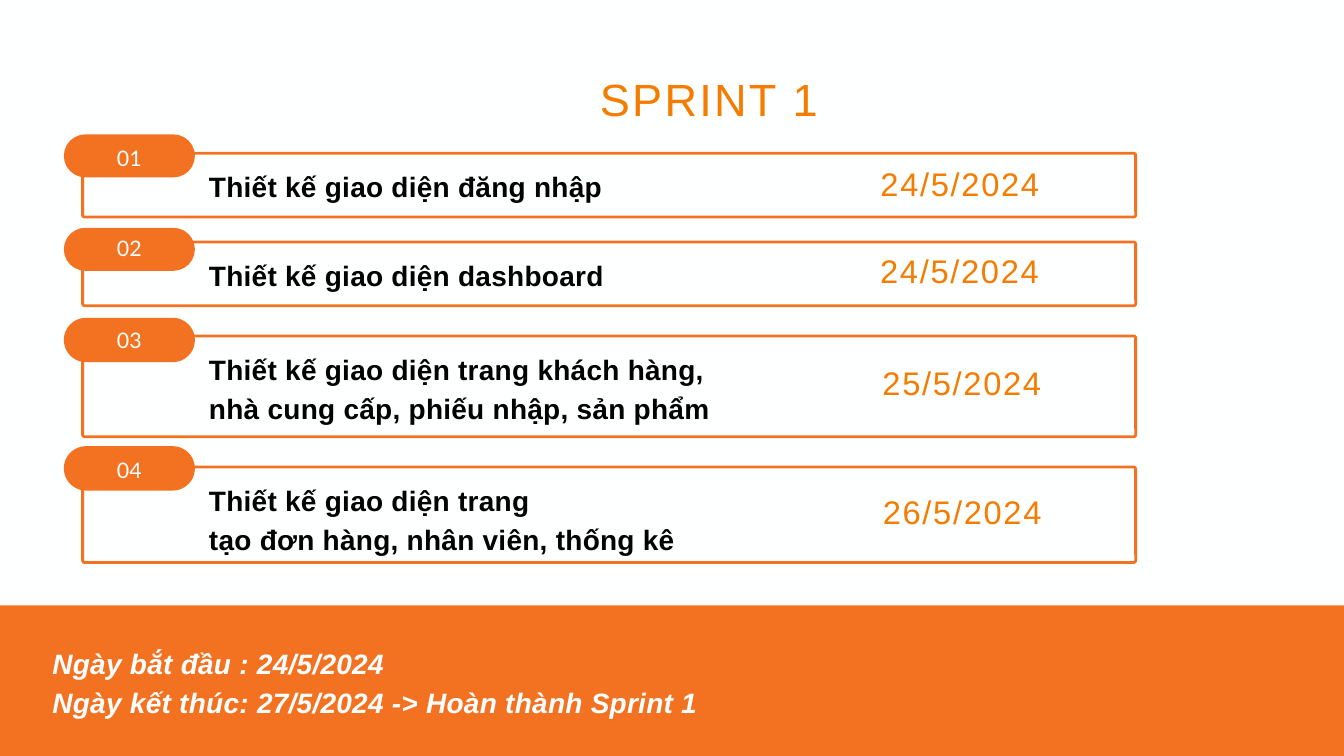
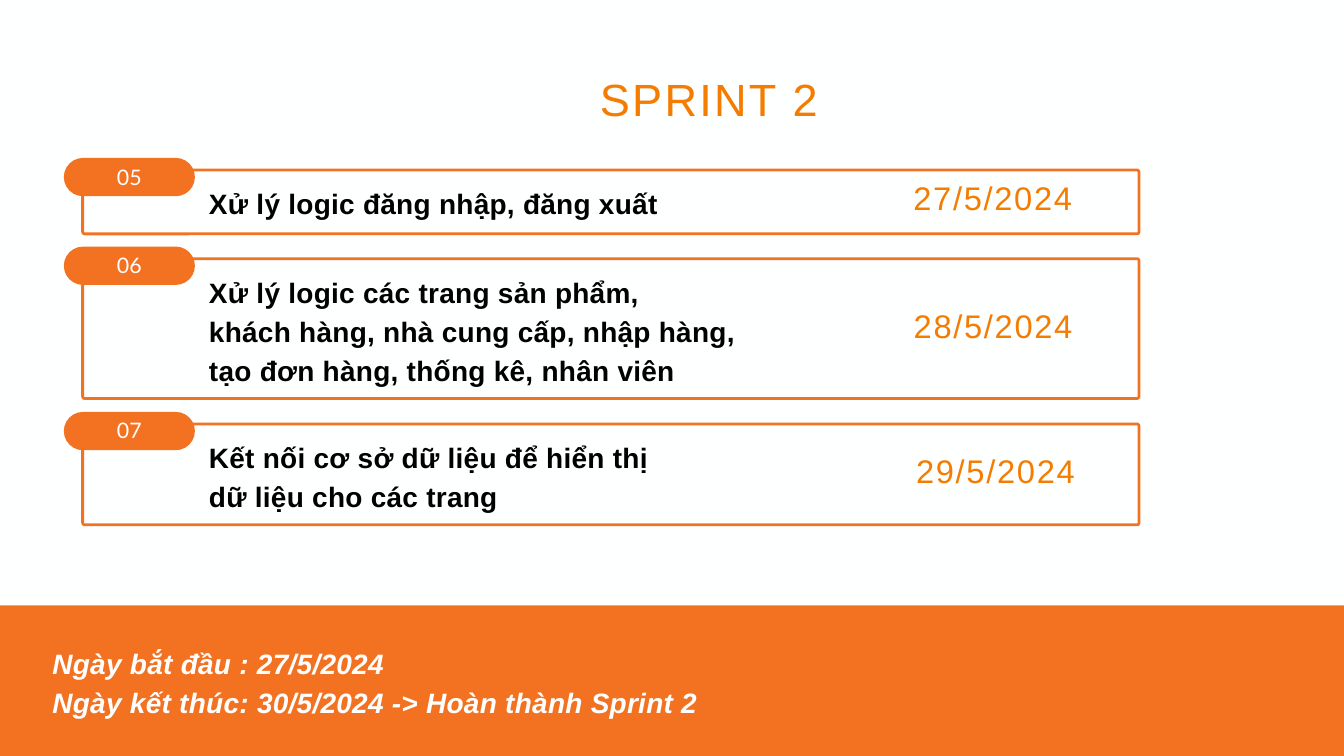
from dataclasses import dataclass

from pptx import Presentation
from pptx import util as u
from pptx.dml.color import RGBColor
from pptx.enum import shapes, text


@dataclass(frozen=True)
class Style:
    size: float
    leading: float
    spacing: int
    color: RGBColor
    font: str = "Arial"
    bold: bool = False
    italic: bool = False
    align: text.PP_ALIGN = text.PP_ALIGN.LEFT


class Theme:
    background = RGBColor(0xFE, 0xFF, 0xFF)
    orange = RGBColor(0xF3, 0x72, 0x21)
    amber = RGBColor(0xF4, 0x7C, 0x00)
    black = RGBColor(0, 0, 0)
    white = RGBColor(0xFF, 0xFF, 0xFF)
    outline = u.Pt(3)
    title = Style(48.3, 66.7, 240, amber, align=text.PP_ALIGN.CENTER)
    label = Style(22.9, 32.1, 20, white, font="Lato", align=text.PP_ALIGN.CENTER)
    task = Style(30, 42, 30, black, bold=True)
    date = Style(35, 48.3, 180, amber, align=text.PP_ALIGN.CENTER)
    footer = Style(30, 42, 30, white, bold=True, italic=True)


@dataclass(frozen=True)
class Box:
    left: float
    top: float
    width: float
    height: float

    def lengths(self) -> tuple:
        return tuple(u.Inches(v) for v in (self.left, self.top, self.width, self.height))


@dataclass(frozen=True)
class Span:
    top: float
    height: float


@dataclass(frozen=True)
class Task:
    number: str
    lines: tuple
    text_size: tuple
    date: str
    date_box: Box
    card: Span
    pill: Span
    label: Span


@dataclass(frozen=True)
class Sprint:
    title: str
    start: str
    end: str
    card_width: float
    tasks: tuple


CARD_LEFT, CARD_RADIUS = 1.23, 0.03
PILL_LEFT, PILL_WIDTH = 0.95, 1.95
TEXT_LEFT, TEXT_DROP = 3.11, 0.16
DATE_HEIGHT = 0.72
LABEL_INSET = 0.06
TITLE_BOX = Box(6.01, 0.94, 9.08, 0.98)
BAND_BOX = Box(0, 9.01, 20, 2.24)
FOOTER_BOX = Box(0.78, 9.54, 13.01, 1.18)

SPRINTS = (
    Sprint("SPRINT 1", "24/5/2024", "27/5/2024", 15.67, (
        Task("01", ("Thiết kế giao diện đăng nhập",), (6.46, 0.54),
             "24/5/2024", Box(12.91, 2.35, 2.75, DATE_HEIGHT),
             Span(2.28, 0.95), Span(2, 0.64), Span(1.87, 0.9)),
        Task("02", ("Thiết kế giao diện dashboard",), (6.46, 0.54),
             "24/5/2024", Box(12.79, 3.64, 2.98, DATE_HEIGHT),
             Span(3.6, 0.95), Span(3.39, 0.64), Span(3.27, 0.77)),
        Task("03", ("Thiết kế giao diện trang khách hàng, nhà cung cấp, phiếu nhập, sản phẩm",),
             (7.89, 1.15), "25/5/2024", Box(12.79, 5.31, 3.05, DATE_HEIGHT),
             Span(5, 1.5), Span(4.73, 0.66), Span(4.63, 0.8)),
        Task("04", ("Thiết kế giao diện trang", "tạo đơn hàng, nhân viên, thống kê"),
             (7.23, 1.18), "26/5/2024", Box(12.87, 7.23, 2.9, DATE_HEIGHT),
             Span(6.95, 1.42), Span(6.64, 0.66), Span(6.5, 0.92)),
    )),
    Sprint("SPRINT 2", "27/5/2024", "30/5/2024", 15.72, (
        Task("05", ("Xử lý logic đăng nhập, đăng xuất",), (7.29, 0.54),
             "27/5/2024", Box(13.4, 2.56, 2.75, DATE_HEIGHT),
             Span(2.53, 0.95), Span(2.35, 0.57), Span(2.2, 0.8)),
        Task("06", ("Xử lý logic các trang sản phẩm,",
                    "khách hàng, nhà cung cấp, nhập hàng, tạo đơn hàng, thống kê, nhân viên"),
             (8.15, 1.73), "28/5/2024", Box(13.29, 4.47, 2.98, DATE_HEIGHT),
             Span(3.85, 2.08), Span(3.67, 0.57), Span(3.51, 0.8)),
        Task("07", ("Kết nối cơ sở dữ liệu để hiển thị dữ liệu cho các trang",),
             (7.06, 1.18), "29/5/2024", Box(13.29, 6.62, 3.05, DATE_HEIGHT),
             Span(6.31, 1.5), Span(6.13, 0.57), Span(5.97, 0.8)),
    )),
)


def add_text(s, box: Box, lines: tuple, style: Style, inset: float = 0,
             anchor: text.MSO_ANCHOR = text.MSO_ANCHOR.TOP) -> None:
    tf = s.shapes.add_textbox(*box.lengths()).text_frame
    tf.word_wrap = True
    tf.vertical_anchor = anchor
    tf.margin_left = tf.margin_right = tf.margin_top = tf.margin_bottom = u.Inches(inset)
    tf.text = "\n".join(lines)
    for p in tf.paragraphs:
        p.alignment = style.align
        p.line_spacing = u.Pt(style.leading)
        for r in p.runs:
            r.font.name = style.font
            r.font.size = u.Pt(style.size)
            r.font.bold = style.bold
            r.font.italic = style.italic
            r.font.color.rgb = style.color
            r.font._element.set("spc", str(style.spacing))


def add_block(s, kind: shapes.MSO_SHAPE, box: Box, filled: bool = True, radius: float = 0) -> None:
    sp = s.shapes.add_shape(kind, *box.lengths())
    sp.shadow.inherit = False
    if radius:
        sp.adjustments[0] = radius / box.height
    if filled:
        sp.fill.solid()
        sp.fill.fore_color.rgb = Theme.orange
        sp.line.fill.background()
    else:
        sp.fill.background()
        sp.line.color.rgb = Theme.orange
        sp.line.width = Theme.outline


def add_task(s, task: Task, card_width: float) -> None:
    rounded = shapes.MSO_SHAPE.ROUNDED_RECTANGLE
    add_block(s, rounded, Box(CARD_LEFT, task.card.top, card_width, task.card.height),
              filled=False, radius=CARD_RADIUS)
    add_block(s, rounded, Box(PILL_LEFT, task.pill.top, PILL_WIDTH, task.pill.height),
              radius=task.pill.height / 2)
    add_text(s, Box(PILL_LEFT, task.label.top, PILL_WIDTH, task.label.height), (task.number,),
             Theme.label, LABEL_INSET, text.MSO_ANCHOR.MIDDLE)
    add_text(s, Box(TEXT_LEFT, task.card.top + TEXT_DROP, *task.text_size), task.lines, Theme.task)
    add_text(s, task.date_box, (task.date,), Theme.date)


def add_sprint(prs, sprint: Sprint) -> None:
    s = prs.slides.add_slide(prs.slide_layouts[6])
    s.background.fill.solid()
    s.background.fill.fore_color.rgb = Theme.background
    add_block(s, shapes.MSO_SHAPE.RECTANGLE, BAND_BOX)
    add_text(s, TITLE_BOX, (sprint.title,), Theme.title)
    for task in sprint.tasks:
        add_task(s, task, sprint.card_width)
    footer = (f"Ngày bắt đầu : {sprint.start}",
              f"Ngày kết thúc: {sprint.end} -> Hoàn thành {sprint.title.capitalize()}")
    add_text(s, FOOTER_BOX, footer, Theme.footer)


def main() -> None:
    prs = Presentation()
    prs.slide_width, prs.slide_height = u.Inches(20), u.Inches(11.25)
    for sprint in SPRINTS:
        add_sprint(prs, sprint)
    prs.save("out.pptx")


if __name__ == "__main__":
    main()
